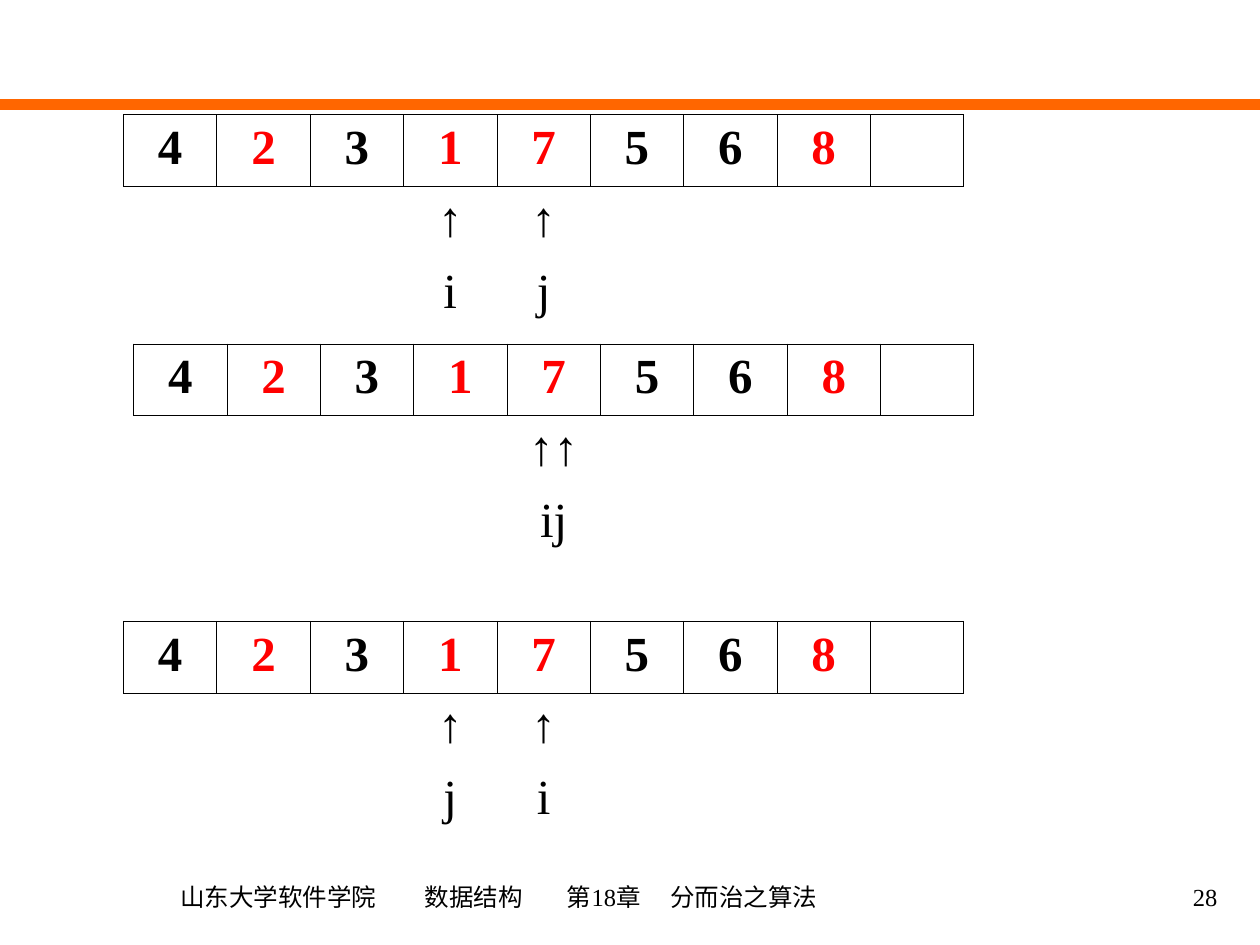
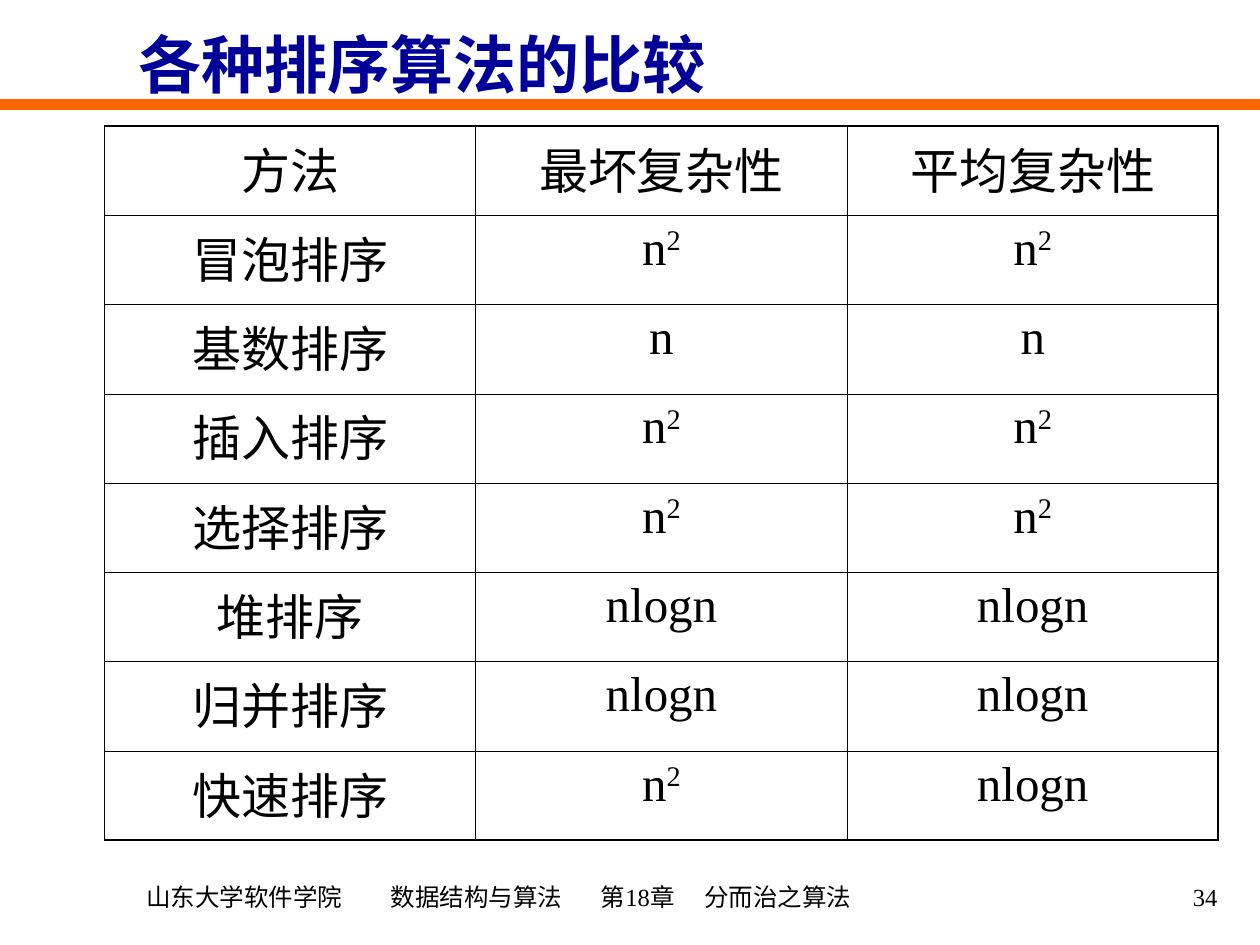
from dataclasses import dataclass

from lxml.etree import SubElement
from pptx import Presentation
from pptx.dml.color import RGBColor
from pptx.enum.shapes import MSO_CONNECTOR
from pptx.enum.text import MSO_ANCHOR, MSO_AUTO_SIZE, PP_ALIGN
from pptx.oxml.ns import qn
from pptx.util import Inches, Pt


@dataclass(frozen=True)
class Theme:
    latin: str = "Times New Roman"
    chinese: str = "Noto Sans CJK SC"
    ink: str = "000000"
    accent: str = "FF0000"
    heading: str = "000099"
    band: str = "FF6600"
    title_size: int = 36
    cell_size: int = 28
    footer_size: int = 14
    band_width: float = 6
    thin: float = 0.45
    thick: float = 1.08
    plain_table: str = "{2D5ABB26-0587-4C30-8999-92F81FD0307C}"


THEME = Theme()
WIDTH, HEIGHT = 10, 7.5
BAND_TOP = 0.83
FOOTER_AREA = (0.75, 6.86, 6.46, 0.51)
NUMBER_AREA = (7.68, 6.87, 2.08, 0.5)
TITLE_AREA = (1, 0.17, 8.25, 0.67)
SCHOOL, CHAPTER, TOPIC = "山东大学软件学院", "第18章", "分而治之算法"
COURSE_TAB, TOPIC_GAP = 1.94, 0.82

NUMBERS = "42317568"
HIGHLIGHTED = "2178"
ARRAY_COLUMNS, ARRAY_WIDTH, ARRAY_ROW = 9, 6.67, 0.57
ARRAY_STEPS = [
    {"left": 0.98, "top": 0.91, "pointers": {3: "i", 4: "j"}},
    {"left": 1.06, "top": 2.73, "pointers": {4: "ij"}},
    {"left": 0.98, "top": 4.93, "pointers": {3: "j", 4: "i"}},
]

COMPARISON_TITLE = "各种排序算法的比较"
COMPARISON_AREA = (0.83, 1, 8.84, 5.67)
COMPARISON = [
    ("方法", "最坏复杂性", "平均复杂性"),
    ("冒泡排序", "n^2", "n^2"),
    ("基数排序", "n", "n"),
    ("插入排序", "n^2", "n^2"),
    ("选择排序", "n^2", "n^2"),
    ("堆排序", "nlogn", "nlogn"),
    ("归并排序", "nlogn", "nlogn"),
    ("快速排序", "n^2", "nlogn"),
]


def write(frame, text, size=THEME.cell_size, color=THEME.ink, bold=False,
          align=PP_ALIGN.CENTER, latin=THEME.latin, chinese=THEME.chinese, tabs=()):
    para = frame.paragraphs[0]
    para.alignment = align
    if tabs:
        stops = SubElement(para._p.get_or_add_pPr(), qn("a:tabLst"))
        for position in tabs:
            SubElement(stops, qn("a:tab"), pos=str(Inches(position)), algn="l")
    for index, part in enumerate(text.split("^")):
        span = para.add_run()
        span.text = part
        span.font.size = Pt(size)
        span.font.bold = bold
        span.font.name = latin
        span.font.color.rgb = RGBColor.from_string(color)
        properties = span._r.get_or_add_rPr()
        SubElement(properties, qn("a:ea"), typeface=chinese)
        if index:
            properties.set("baseline", "30000")


def add_footer_box(page, area, text, inset=0.1, **style):
    box = page.shapes.add_textbox(*map(Inches, area))
    frame = box.text_frame
    frame.word_wrap = True
    frame.vertical_anchor = MSO_ANCHOR.MIDDLE
    frame.margin_left = Inches(inset)
    write(frame, text, size=THEME.footer_size, **style)


def add_page(deck, layout, number, course, chapter_tab, inset):
    page = deck.slides.add_slide(deck.slide_layouts.get_by_name(layout))
    band = page.shapes.add_connector(
        MSO_CONNECTOR.STRAIGHT, 0, Inches(BAND_TOP), Inches(WIDTH), Inches(BAND_TOP))
    band.line.color.rgb = RGBColor.from_string(THEME.band)
    band.line.width = Pt(THEME.band_width)
    SubElement(band._element.spPr, qn("a:effectLst"))
    add_footer_box(page, FOOTER_AREA, "\t".join((SCHOOL, course, CHAPTER, TOPIC)),
                   inset=inset, align=PP_ALIGN.LEFT,
                   tabs=(COURSE_TAB, chapter_tab, chapter_tab + TOPIC_GAP))
    add_footer_box(page, NUMBER_AREA, str(number), align=PP_ALIGN.RIGHT)
    return page


def set_border(cell, side, width):
    properties = cell._tc.get_or_add_tcPr()
    line = SubElement(properties, qn(f"a:ln{side}"), w=str(Pt(width)))
    if width:
        fill = SubElement(line, qn("a:solidFill"))
        SubElement(fill, qn("a:srgbClr"), val=THEME.ink)
    else:
        SubElement(line, qn("a:noFill"))


def add_grid(page, area, rows, columns, ruled_rows, outer):
    table = page.shapes.add_table(rows, columns, *map(Inches, area)).table
    table.first_row = table.horz_banding = False
    table._tbl.tblPr.find(qn("a:tableStyleId")).text = THEME.plain_table
    for column in table.columns:
        column.width = Inches(area[2] / columns)
    for row in table.rows:
        row.height = Inches(area[3] / rows)
    for r in range(rows):
        for c in range(columns):
            cell = table.cell(r, c)
            ruled = r < ruled_rows
            edges = {
                "L": (ruled, c == 0),
                "R": (ruled, c == columns - 1),
                "T": (r <= ruled_rows, r == 0),
                "B": (ruled, r == ruled_rows - 1),
            }
            for side, (drawn, outside) in edges.items():
                width = outer if outside else THEME.thin
                set_border(cell, side, width if drawn else 0)
            cell.fill.background()
    return table


def add_array_step(page, left, top, pointers):
    area = (left, top, ARRAY_WIDTH, 3 * ARRAY_ROW)
    table = add_grid(page, area, 3, ARRAY_COLUMNS, ruled_rows=1, outer=THEME.thin)
    for c, digit in enumerate(NUMBERS):
        color = THEME.accent if digit in HIGHLIGHTED else THEME.ink
        write(table.cell(0, c).text_frame, digit, color=color, bold=True)
    for c, names in pointers.items():
        for r, text in enumerate(("↑" * len(names), names), start=1):
            write(table.cell(r, c).text_frame, text, chinese=THEME.latin)


def add_title(page, text):
    title = page.shapes.title
    title.left, title.top, title.width, title.height = map(Inches, TITLE_AREA)
    frame = title.text_frame
    frame.auto_size = MSO_AUTO_SIZE.NONE
    frame.vertical_anchor = MSO_ANCHOR.MIDDLE
    write(frame, text, size=THEME.title_size, color=THEME.heading, bold=True,
          align=PP_ALIGN.LEFT, latin=THEME.chinese)


def add_comparison(page):
    table = add_grid(page, COMPARISON_AREA, len(COMPARISON), len(COMPARISON[0]),
                     ruled_rows=len(COMPARISON), outer=THEME.thick)
    for r, entries in enumerate(COMPARISON):
        for c, text in enumerate(entries):
            write(table.cell(r, c).text_frame, text)


def main():
    deck = Presentation()
    deck.slide_width, deck.slide_height = Inches(WIDTH), Inches(HEIGHT)

    partition = add_page(deck, "Blank", 28, "数据结构", chapter_tab=3.07, inset=0.68)
    for step in ARRAY_STEPS:
        add_array_step(partition, **step)

    comparison = add_page(deck, "Title Only", 34, "数据结构与算法",
                          chapter_tab=3.61, inset=0.41)
    add_title(comparison, COMPARISON_TITLE)
    add_comparison(comparison)

    deck.save("out.pptx")


if __name__ == "__main__":
    main()
